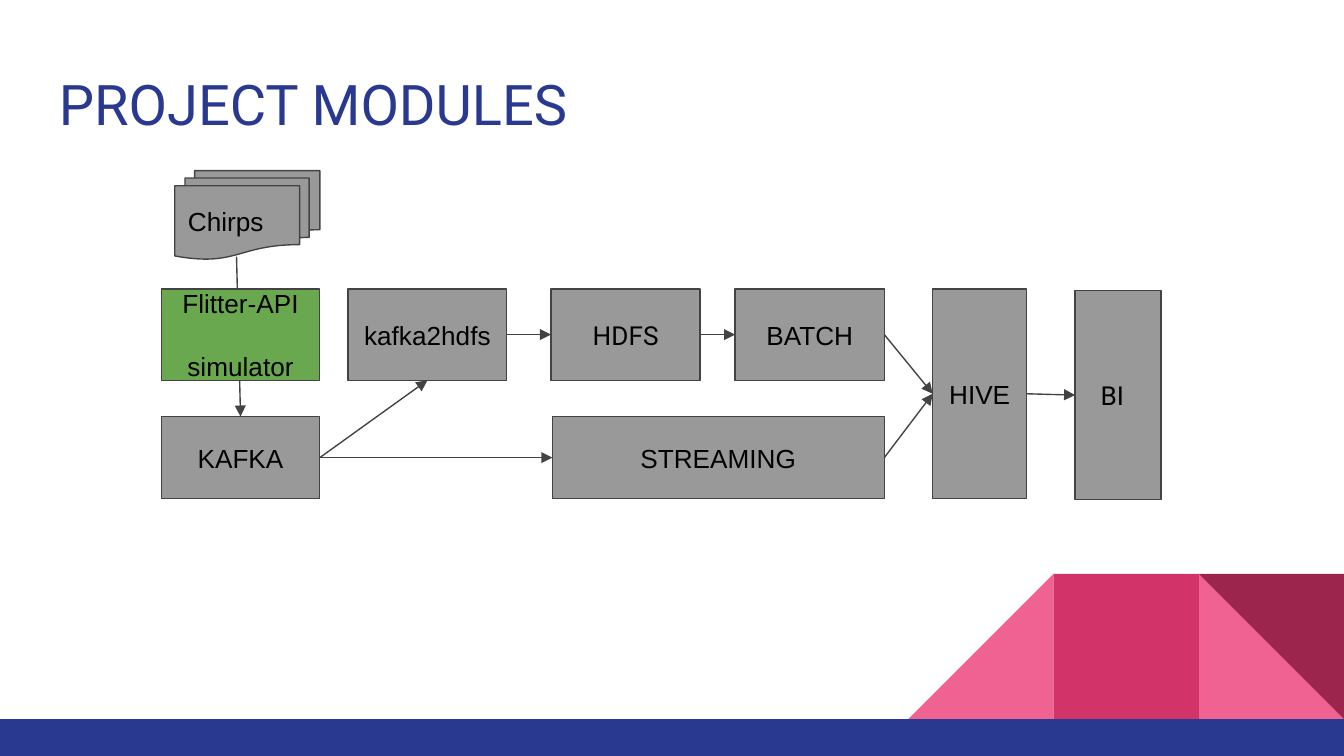
"""Build the project modules slide: a data pipeline from API simulator to BI."""
from lxml.etree import SubElement
from pptx import Presentation
from pptx.dml.color import RGBColor
from pptx.enum.shapes import MSO_CONNECTOR, MSO_SHAPE as SHAPE
from pptx.enum.text import MSO_ANCHOR as ANCHOR, PP_ALIGN as ALIGN
from pptx.oxml.ns import qn
from pptx.util import Inches, Pt

NAVY = RGBColor(0x2A, 0x39, 0x90)
PINK = RGBColor(0xF0, 0x62, 0x92)
ROSE = RGBColor(0xD2, 0x33, 0x69)
WINE = RGBColor(0x9C, 0x25, 0x4D)
GRAY = RGBColor(0x99, 0x99, 0x99)
GREEN = RGBColor(0x6A, 0xA8, 0x4F)
DARK = RGBColor(0x43, 0x43, 0x43)
BLACK = RGBColor(0, 0, 0)
TOP, LEFT, BOTTOM, RIGHT = range(4)

deck = Presentation()
deck.slide_width = Inches(10)
deck.slide_height = deck.slide_width * 9 // 16
page = deck.slides.add_slide(deck.slide_layouts[6])


def add_block(kind, left, top, width, height, fill):
    block = page.shapes.add_shape(kind, Inches(left), Inches(top), Inches(width), Inches(height))
    block.shadow.inherit = False
    block.fill.solid()
    block.fill.fore_color.rgb = fill
    block.line.fill.background()
    return block


def add_arrow(end_box, end_site, begin_box=None, begin_site=BOTTOM, start=(0, 0)):
    x, y = Inches(start[0]), Inches(start[1])
    arrow = page.shapes.add_connector(MSO_CONNECTOR.STRAIGHT, x, y, x, y)
    if begin_box is not None:
        arrow.begin_connect(begin_box, begin_site)
    arrow.end_connect(end_box, end_site)
    arrow.line.color.rgb = DARK
    arrow.line.width = Pt(0.75)
    SubElement(arrow.line._get_or_add_ln(), qn("a:tailEnd"), type="triangle")
    SubElement(arrow._element.spPr, qn("a:effectLst"))


side = 1.08
corner = 10 - side
add_block(SHAPE.RIGHT_TRIANGLE, corner, 4.27, side, side, PINK)
slope = add_block(SHAPE.RIGHT_TRIANGLE, corner - 2 * side, 4.27, side, side, PINK)
slope._element.spPr.xfrm.set("flipH", "1")
add_block(SHAPE.RECTANGLE, corner - side, 4.27, side, side, ROSE)
add_block(SHAPE.RIGHT_TRIANGLE, corner, 4.27, side, side, WINE).rotation = 180
add_block(SHAPE.RECTANGLE, 0, 5.35, 10, 0.28, NAVY)

title = page.shapes.add_textbox(Inches(0.34), Inches(0.42), Inches(9.32), Inches(0.66))
title.text_frame.word_wrap = True
title.text_frame.margin_top = title.text_frame.margin_bottom = Inches(0.1)
para = title.text_frame.paragraphs[0]
para.text = "PROJECT MODULES"
para.font.name, para.font.size, para.font.color.rgb = "Roboto", Pt(30), NAVY

RECT = SHAPE.RECTANGLE
modules = [
    ("KAFKA", RECT, 1.2, 3.1, 1.18, 0.61, GRAY, "Arial", ALIGN.CENTER),
    ("STREAMING", RECT, 4.11, 3.1, 2.47, 0.61, GRAY, "Arial", ALIGN.CENTER),
    ("Chirps", SHAPE.FLOWCHART_MULTIDOCUMENT, 1.3, 1.27, 1.08, 0.66, GRAY, "Arial", ALIGN.LEFT),
    ("BI", RECT, 8, 2.16, 0.64, 1.56, GRAY, "Roboto", ALIGN.LEFT),
    ("HIVE", RECT, 6.94, 2.15, 0.7, 1.56, GRAY, "Arial", ALIGN.CENTER),
    ("BATCH", RECT, 5.47, 2.15, 1.11, 0.68, GRAY, "Arial", ALIGN.CENTER),
    ("HDFS", RECT, 4.1, 2.15, 1.11, 0.68, GRAY, "Roboto", ALIGN.CENTER),
    ("Flitter-API\nsimulator", RECT, 1.2, 2.15, 1.18, 0.68, GREEN, "Arial", ALIGN.CENTER),
    ("kafka2hdfs", RECT, 2.59, 2.15, 1.18, 0.68, GRAY, "Arial", ALIGN.CENTER),
]
boxes = {}
for label, kind, left, top, width, height, fill, font, align in modules:
    if fill == GREEN:
        add_arrow(boxes["KAFKA"], TOP, start=(1.76, 1.91))
    box = boxes[label] = add_block(kind, left, top, width, height, fill)
    box.line.color.rgb = DARK
    box.line.width = Pt(0.75)
    frame = box.text_frame
    frame.word_wrap = True
    frame.vertical_anchor = ANCHOR.MIDDLE
    frame.margin_left = frame.margin_right = Inches(0.1)
    frame.margin_top = frame.margin_bottom = Inches(0.1)
    frame.text = label
    for para in frame.paragraphs:
        para.alignment = align
        para.font.name, para.font.size, para.font.color.rgb = font, Pt(14), BLACK
boxes["BI"].text_frame.margin_left = Inches(0.19)
boxes["Flitter-API\nsimulator"].text_frame.paragraphs[1].space_before = Pt(17)

for source, begin_site, target, end_site in [
    ("KAFKA", RIGHT, "STREAMING", LEFT),
    ("STREAMING", RIGHT, "HIVE", LEFT),
    ("HIVE", RIGHT, "BI", LEFT),
    ("BATCH", RIGHT, "HIVE", LEFT),
    ("HDFS", RIGHT, "BATCH", LEFT),
    ("KAFKA", RIGHT, "kafka2hdfs", BOTTOM),
    ("kafka2hdfs", RIGHT, "HDFS", LEFT),
]:
    add_arrow(boxes[target], end_site, boxes[source], begin_site)

deck.save("out.pptx")
